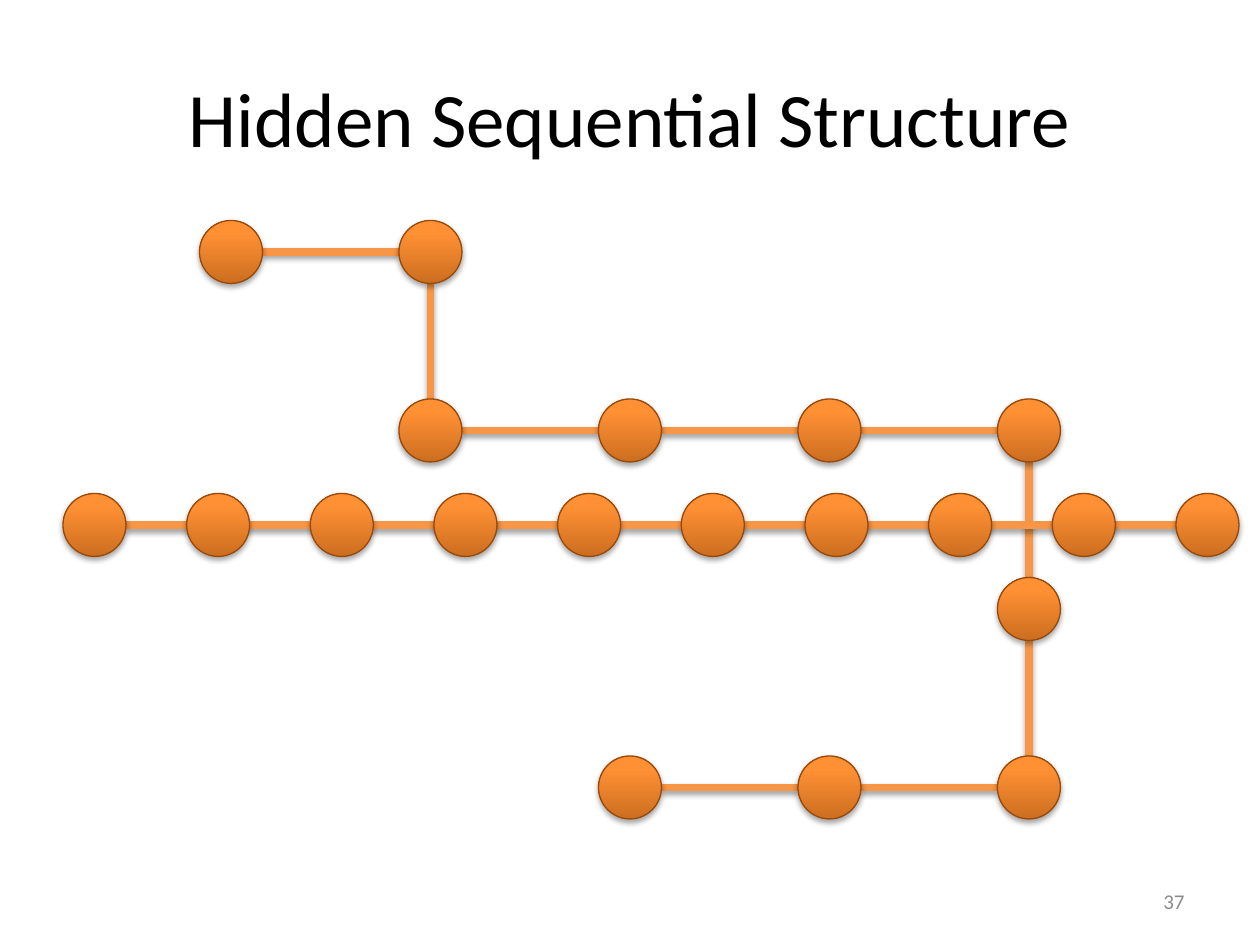
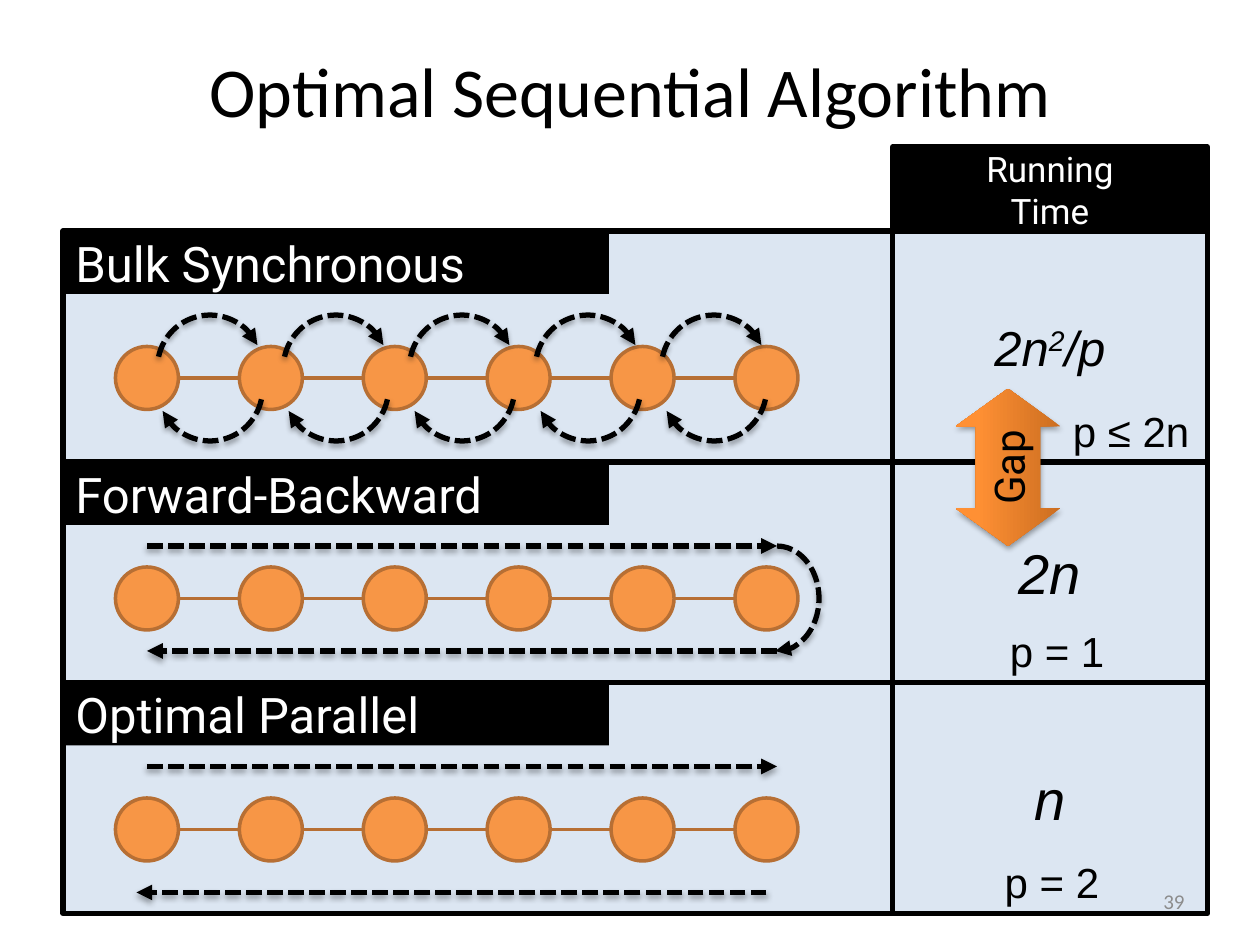
from itertools import pairwise

from lxml import etree
from pptx import Presentation
from pptx.dml.color import RGBColor
from pptx.enum.dml import MSO_LINE
from pptx.enum.shapes import MSO_CONNECTOR, MSO_SHAPE
from pptx.enum.text import MSO_ANCHOR, PP_ALIGN
from pptx.oxml import parse_xml
from pptx.oxml.ns import qn
from pptx.util import Inches, Pt

OVAL, RECT, ARC = MSO_SHAPE.OVAL, MSO_SHAPE.RECTANGLE, MSO_SHAPE.ARC
DOUBLE_ARROW = MSO_SHAPE.LEFT_RIGHT_ARROW
STRAIGHT, DASH = MSO_CONNECTOR.STRAIGHT, MSO_LINE.SQUARE_DOT
TOP, MIDDLE = MSO_ANCHOR.TOP, MSO_ANCHOR.MIDDLE
LEFT, CENTER, RIGHT = PP_ALIGN.LEFT, PP_ALIGN.CENTER, PP_ALIGN.RIGHT


class Theme:
    black, white, grey = "000000", "FFFFFF", "8C8C8C"
    orange, rust, brown, pale = "F79646", "B76F34", "984807", "DCE6F2"
    gradient = [(0, "CC6E20"), (80, "FF9034"), (100, "FF9136")]
    title_font, label_font, math_font = "Calibri", "Roboto", "Arial"
    label, header, note, number = 28, 20, 24, 12
    thick, frame, thin, hairline = 4.5, 3, 2, 0.75


# CONTENT
HIDDEN = dict(
    title="Hidden Sequential Structure", size=44, top=3.6, number="37",
    path=[(0, 0), (1, 0), (1, 1), (2, 1), (3, 1), (4, 1), (4, 2), (4, 3), (3, 3), (2, 3)],
    chain=10,
)
OPTIMAL = dict(
    title="Optimal Sequential Algorithm", size=40, top=1, number="39",
    header=["Running", "Time"],
    gap="Gap",
    chain=6,
    rows=[
        dict(label="Bulk Synchronous", top=22, bottom=44, nodes=36,
             time=["2n", ("2", 30), "/p"], size=28, note="p ≤ 2n", note_at=(101, 38, 13.8, 6)),
        dict(label="Forward-Backward", top=44, bottom=65, nodes=57,
             time=["2n"], size=32, note="p = 1", note_at=(95, 59, 11.5, 6)),
        dict(label="Optimal Parallel", top=65, bottom=87, nodes=79,
             time=["n"], size=32, note="p = 2", note_at=(94.5, 81, 11.5, 6)),
    ],
    sweeps=[(14, 52, 74, 52), (74, 62, 14, 62), (14, 73, 74, 73), (73, 85, 13, 85)],
)
LEFT_EDGE, TIME_EDGE, RIGHT_EDGE = 6, 85, 115
NODE = 6
HOP = 10
HOP_ANGLES = (169.17, 38.75)
TURN_ANGLES = (162, 55.15)


def grid(*units):
    return [Inches(u / 12) for u in units]


def rgb(color):
    return RGBColor.from_string(color)


def drawing(tag, **attrs):
    el = etree.Element(qn("a:" + tag))
    for key, value in attrs.items():
        el.set(key, str(value))
    return el


def add_shadow(effects):
    shadow = etree.SubElement(effects, qn("a:outerShdw"), blurRad="40000", dist="23000",
                              dir="5400000", rotWithShape="0")
    color = etree.SubElement(shadow, qn("a:srgbClr"), val=Theme.black)
    etree.SubElement(color, qn("a:alpha"), val="35000")


def gradient_fill():
    stops = "".join(f'<a:gs pos="{pos * 1000}"><a:srgbClr val="{color}"/></a:gs>'
                    for pos, color in Theme.gradient)
    return parse_xml('<a:gradFill xmlns:a="http://schemas.openxmlformats.org/drawingml/2006/main"'
                     f' rotWithShape="1"><a:gsLst>{stops}</a:gsLst>'
                     '<a:lin ang="16200000" scaled="0"/></a:gradFill>')


def set_line(line, color, width, dashed=False, arrow=False):
    if color is None:
        line.fill.background()
        return
    line.color.rgb = rgb(color)
    line.width = Pt(width)
    if dashed:
        line.dash_style = DASH
    if arrow:
        line._get_or_add_ln().append(drawing("tailEnd", type="triangle"))


def add_line(slide, ends, color, width, shadow=False, **style):
    s = slide.shapes.add_connector(STRAIGHT, *grid(*ends))
    set_line(s.line, color, width, **style)
    effects = drawing("effectLst")
    s._element.spPr.append(effects)
    if shadow:
        add_shadow(effects)


def add_shape(slide, kind, box, fill=None, line=None, width=0, shadow=False,
              gradient=False, rotation=0, angles=(), **style):
    s = slide.shapes.add_shape(kind, *grid(*box))
    for i, value in enumerate(angles):
        s.adjustments[i] = value
    s.rotation = rotation
    if gradient:
        s._element.spPr.insert(2, gradient_fill())
    elif fill:
        s.fill.solid()
        s.fill.fore_color.rgb = rgb(fill)
    else:
        s.fill.background()
    set_line(s.line, line, width, **style)
    s.shadow.inherit = False
    if shadow:
        add_shadow(s._element.spPr.find(qn("a:effectLst")))
    return s


def write(s, paragraphs, size, font, color=Theme.black, align=LEFT, anchor=MIDDLE,
          wrap=False, italic=False):
    tf = s.text_frame
    tf.word_wrap = wrap
    tf.vertical_anchor = anchor
    for i, runs in enumerate(paragraphs):
        p = tf.paragraphs[0] if i == 0 else tf.add_paragraph()
        p.alignment = align
        for run in [runs] if isinstance(runs, str) else runs:
            text, raised = (run, 0) if isinstance(run, str) else run
            r = p.add_run()
            r.text = text
            r.font.size = Pt(size)
            r.font.name = font
            r.font.italic = italic
            r.font.color.rgb = rgb(color)
            if raised:
                r._r.get_or_add_rPr().set("baseline", str(raised * 1000))


def add_text(slide, box, text, size, font, **style):
    write(slide.shapes.add_textbox(*grid(*box)), [text], size, font, **style)


def add_node(slide, x, y, **style):
    add_shape(slide, OVAL, (x - NODE / 2, y - NODE / 2, NODE, NODE), **style)


def add_chain(slide, first, last, y, count, line, node):
    add_line(slide, (first + NODE / 2, y, last - NODE / 2, y), **line)
    for i in range(count):
        add_node(slide, first + i * (last - first) / (count - 1), y, **node)


def start_slide(prs, content):
    slide = prs.slides.add_slide(prs.slide_layouts[6])
    add_text(slide, (6, content["top"], 108, 15), content["title"], content["size"],
             Theme.title_font, align=CENTER, wrap=True)
    return slide


def add_number(slide, content):
    add_text(slide, (86, 83.4, 28, 4.8), content["number"], Theme.number, Theme.title_font,
             color=Theme.grey, align=RIGHT, wrap=True)


def build_hidden(prs):
    slide = start_slide(prs, HIDDEN)
    link = dict(color=Theme.orange, width=Theme.thick, shadow=True)
    ball = dict(gradient=True, line=Theme.brown, width=Theme.hairline, shadow=True)
    nodes = [(22 + 19 * col, 24 + 17 * row) for col, row in HIDDEN["path"]]
    for (x1, y1), (x2, y2) in pairwise(nodes):
        dx = NODE / 2 * ((x2 > x1) - (x2 < x1))
        dy = NODE / 2 * ((y2 > y1) - (y2 < y1))
        add_line(slide, (x1 + dx, y1 + dy, x2 - dx, y2 - dy), **link)
    for x, y in nodes:
        add_node(slide, x, y, **ball)
    add_chain(slide, 9, 115, 50, HIDDEN["chain"], link, ball)
    add_number(slide, HIDDEN)


def build_optimal(prs):
    slide = start_slide(prs, OPTIMAL)
    cell = dict(fill=Theme.pale, line=Theme.black, width=Theme.frame)
    link = dict(color=Theme.rust, width=Theme.thin)
    ball = dict(fill=Theme.orange, line=Theme.rust, width=Theme.thin)
    motion = dict(width=Theme.frame, dashed=True, arrow=True, shadow=True)
    time_width = RIGHT_EDGE - TIME_EDGE

    for row in OPTIMAL["rows"]:
        top, height = row["top"], row["bottom"] - row["top"]
        add_shape(slide, RECT, (LEFT_EDGE, top, TIME_EDGE - LEFT_EDGE, height), **cell)
        s = add_shape(slide, RECT, (LEFT_EDGE, top, 52, 6), fill=Theme.black)
        write(s, [row["label"]], Theme.label, Theme.label_font, color=Theme.white)
        add_chain(slide, 14, 73, row["nodes"], OPTIMAL["chain"], link, ball)
        s = add_shape(slide, RECT, (TIME_EDGE, top, time_width, height), **cell)
        write(s, [row["time"]], row["size"], Theme.math_font, align=CENTER, italic=True)
        add_text(slide, row["note_at"], row["note"], Theme.note, Theme.math_font, anchor=TOP)

    s = add_shape(slide, RECT, (TIME_EDGE, 14, time_width, 8), fill=Theme.black,
                  line=Theme.black, width=Theme.frame)
    write(s, OPTIMAL["header"], Theme.header, Theme.label_font, color=Theme.white, align=CENTER)

    for y, rotation in [(30, 270), (32, 90)]:
        for i in range(OPTIMAL["chain"] - 1):
            add_shape(slide, ARC, (15 + 12 * i, y, HOP, HOP), line=Theme.black,
                      rotation=rotation, angles=HOP_ANGLES, **motion)
    s = add_shape(slide, DOUBLE_ARROW, (88.5, 39.5, 15, 10), gradient=True, shadow=True,
                  rotation=270, angles=(0.61, 0.36))
    write(s, [OPTIMAL["gap"]], Theme.note, Theme.label_font, align=CENTER)
    for ends in OPTIMAL["sweeps"]:
        add_line(slide, ends, Theme.black, **motion)
    add_shape(slide, ARC, (70, 52, 8, 10), line=Theme.black, angles=TURN_ANGLES, **motion)
    add_number(slide, OPTIMAL)


def main():
    prs = Presentation()
    prs.slide_width, prs.slide_height = Inches(10), Inches(7.5)
    build_hidden(prs)
    build_optimal(prs)
    prs.save("out.pptx")


if __name__ == "__main__":
    main()
